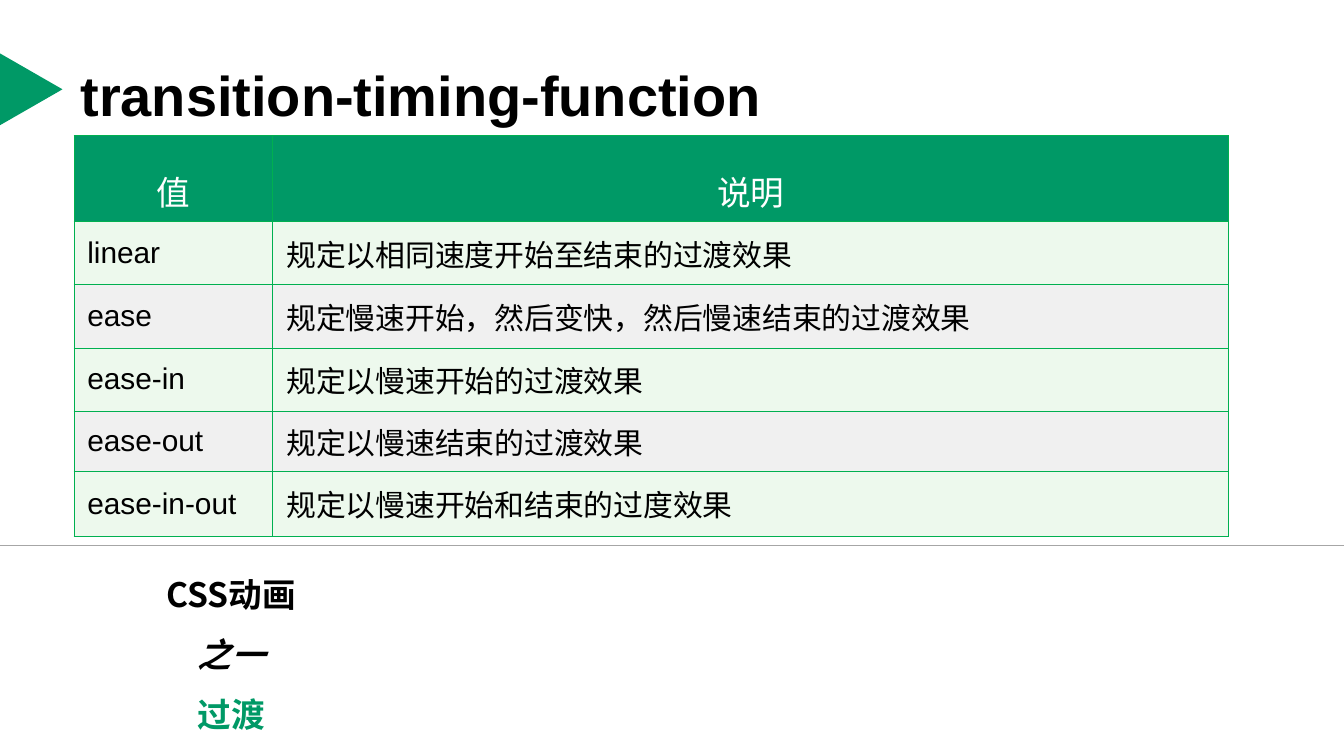
from lxml.etree import SubElement
from pptx import Presentation
from pptx.dml.color import RGBColor
from pptx.enum.shapes import MSO_CONNECTOR, MSO_SHAPE
from pptx.enum.text import MSO_ANCHOR, PP_ALIGN
from pptx.oxml.ns import qn
from pptx.util import Inches, Pt

GREEN = RGBColor(0x00, 0x99, 0x66)
BORDER_GREEN = RGBColor(0x00, 0xB0, 0x50)
PALE_GREEN = RGBColor(0xED, 0xF9, 0xED)
PALE_GRAY = RGBColor(0xF0, 0xF0, 0xF0)
LINE_GRAY = RGBColor(0xA6, 0xA6, 0xA6)
BLACK = RGBColor(0x00, 0x00, 0x00)
WHITE = RGBColor(0xFF, 0xFF, 0xFF)

LATIN_FONT = "Arial"
CHINESE_FONT = "Noto Sans CJK SC"

COLUMN_WIDTHS = [1.48, 7.11]
ROW_HEIGHTS = [0.64, 0.47, 0.47, 0.47, 0.45, 0.48]
TIMING_ROWS = [
    ("值", "说明"),
    ("linear", "规定以相同速度开始至结束的过渡效果"),
    ("ease", "规定慢速开始，然后变快，然后慢速结束的过渡效果"),
    ("ease-in", "规定以慢速开始的过渡效果"),
    ("ease-out", "规定以慢速结束的过渡效果"),
    ("ease-in-out", "规定以慢速开始和结束的过度效果"),
]


def style_paragraph(paragraph, size, color, font_name=CHINESE_FONT, bold=False,
                    italic=False, align=PP_ALIGN.LEFT, line_spacing=1.0):
    paragraph.alignment = align
    paragraph.line_spacing = line_spacing
    font = paragraph.font
    font.size = Pt(size)
    font.bold = bold
    font.italic = italic
    font.color.rgb = color
    font.name = font_name
    properties = paragraph._p.pPr.find(qn("a:defRPr"))
    SubElement(properties, qn("a:ea"), typeface=CHINESE_FONT)


def add_text_box(slide, left, top, width, height):
    box = slide.shapes.add_textbox(Inches(left), Inches(top), Inches(width), Inches(height))
    frame = box.text_frame
    frame.word_wrap = True
    frame.vertical_anchor = MSO_ANCHOR.MIDDLE
    return frame


def add_title_marker(slide):
    marker = slide.shapes.add_shape(
        MSO_SHAPE.ISOSCELES_TRIANGLE, Inches(-0.04), Inches(0.43), Inches(0.54), Inches(0.47))
    marker.rotation = 90
    marker.shadow.inherit = False
    marker.fill.solid()
    marker.fill.fore_color.rgb = GREEN
    marker.line.fill.background()


def add_divider(slide):
    divider = slide.shapes.add_connector(
        MSO_CONNECTOR.STRAIGHT, Inches(0), Inches(4.06), Inches(10), Inches(4.06))
    divider.line.color.rgb = LINE_GRAY
    divider.line.width = Pt(0.75)
    SubElement(divider._element.spPr, qn("a:effectLst"))


def add_title(slide, text):
    paragraph = add_text_box(slide, 0.5, 0.23, 9.5, 0.94).paragraphs[0]
    paragraph.text = text
    style_paragraph(paragraph, 30, BLACK, LATIN_FONT, bold=True)


def add_chapter(slide):
    topic = add_text_box(slide, 0.16, 5.08, 3.12, 0.47).paragraphs[0]
    topic.text = "过渡"
    style_paragraph(topic, 18, GREEN, bold=True, align=PP_ALIGN.CENTER)
    frame = add_text_box(slide, 0.16, 4.06, 3.12, 1.02)
    frame.text = "CSS动画\n之一"
    for paragraph, italic in zip(frame.paragraphs, (False, True)):
        style_paragraph(paragraph, 18, BLACK, bold=True, italic=italic,
                        align=PP_ALIGN.CENTER, line_spacing=1.5)


def set_borders(cell):
    properties = cell._tc.get_or_add_tcPr()
    for side in ("lnL", "lnR", "lnT", "lnB"):
        border = SubElement(properties, qn(f"a:{side}"), w=str(Pt(0.45)))
        fill = SubElement(border, qn("a:solidFill"))
        SubElement(fill, qn("a:srgbClr"), val=str(BORDER_GREEN))


def fill_cell(cell, text, row_index):
    set_borders(cell)
    cell.fill.solid()
    cell.vertical_anchor = MSO_ANCHOR.MIDDLE
    cell.text = text
    paragraph = cell.text_frame.paragraphs[0]
    if row_index == 0:
        cell.fill.fore_color.rgb = GREEN
        style_paragraph(paragraph, 18, WHITE, align=PP_ALIGN.CENTER, line_spacing=1.5)
    else:
        cell.fill.fore_color.rgb = PALE_GREEN if row_index % 2 else PALE_GRAY
        style_paragraph(paragraph, 16, BLACK, LATIN_FONT)


def add_timing_table(slide):
    table = slide.shapes.add_table(
        len(TIMING_ROWS), len(COLUMN_WIDTHS), Inches(0.55), Inches(1.01),
        Inches(sum(COLUMN_WIDTHS)), Inches(sum(ROW_HEIGHTS))).table
    for column, width in zip(table.columns, COLUMN_WIDTHS):
        column.width = Inches(width)
    for row_index, (row, height) in enumerate(zip(table.rows, ROW_HEIGHTS)):
        row.height = Inches(height)
        for cell, text in zip(row.cells, TIMING_ROWS[row_index]):
            fill_cell(cell, text, row_index)


def main():
    presentation = Presentation()
    presentation.slide_width = Inches(10)
    presentation.slide_height = Inches(10 * 9 / 16)
    slide = presentation.slides.add_slide(presentation.slide_layouts[6])
    add_title_marker(slide)
    add_divider(slide)
    add_title(slide, "transition-timing-function")
    add_chapter(slide)
    add_timing_table(slide)
    presentation.save("out.pptx")


if __name__ == "__main__":
    main()
